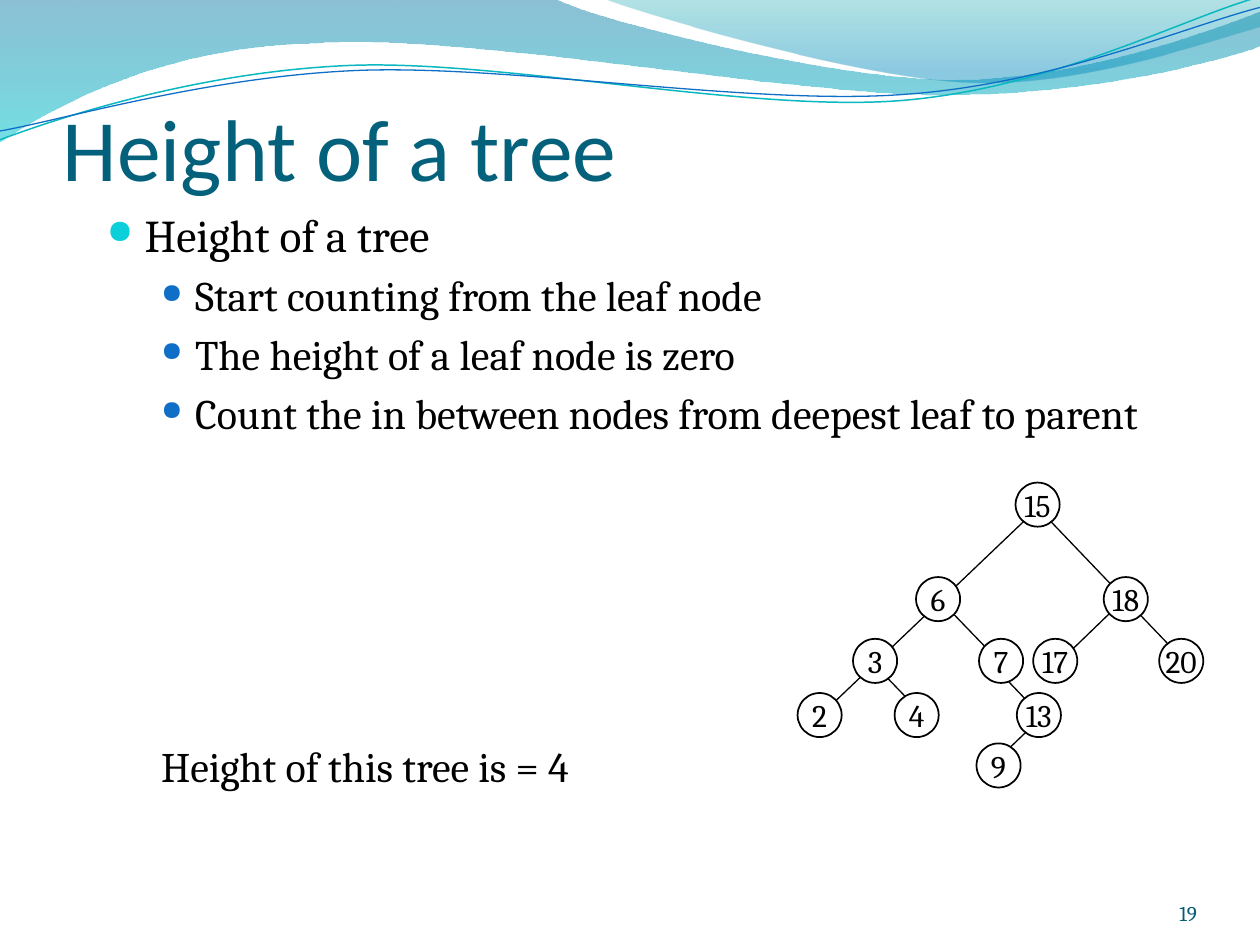
import math

from lxml import etree
from pptx import Presentation
from pptx import util as u
from pptx.dml.color import RGBColor
from pptx.enum import shapes, text
from pptx.oxml.ns import qn

COLORS = {
    "ink": "000000", "paper": "FFFFFF", "title": "04617B", "number": "045D75",
    "main_bullet": "0BD0D9", "sub_bullet": "0F6FC6",
    "teal_line": "0AB8BF", "blue_line": "0F6FC6",
    "deep_blue": "0074A1", "aqua": "00C6CF", "teal": "00A1A9", "blue": "008BBF",
}
SCALE = 9144
NODE_SIZE = 35
CURVE_TILT = -2.7

LEFT_WAVE = [(-1, -1), (440, -1),
             [(476, 17), (664, 63), (758, 63)], [(853, 63), (958, 26), (1000, 9)],
             (1001, 36),
             [(983, 44), (870, 76), (746, 75)], [(622, 75), (382, 28), (257, 34)],
             [(129, 36), (46, 83), (-1, 113)]]
RIGHT_WAVE = [(479, -1), [(509, 11), (682, 62), (769, 65)],
              [(856, 69), (961, 32), (1000, 21)], (1000, 0)]
TEAL_CURVE = [(0, 111), [(48, 93), (158, 57), (277, 52)],
              [(395, 47), (593, 89), (713, 80)], [(833, 71), (938, 15), (998, -2)]]
BLUE_CURVE = [(0, 104), [(47, 96), (164, 61), (283, 56)],
              [(403, 51), (597, 84), (717, 75)], [(836, 67), (941, 21), (1000, 6)]]

BODY_LINES = [
    ("main", "Height of a tree"),
    ("sub", "Start counting from the leaf node"),
    ("sub", "The height of a leaf node is zero"),
    ("sub", "Count the in between nodes from deepest leaf to parent"),
    ("answer", "Height of this tree is = 4"),
]
BODY_STYLES = {
    "main": {"level": 0, "left": 30, "hanging": 30, "size": 26, "before": 0,
             "bullet": ("main_bullet", 73)},
    "sub": {"level": 1, "left": 70, "hanging": 27, "size": 24, "before": 4.8,
            "bullet": ("sub_bullet", 65)},
    "answer": {"level": 1, "left": 70, "hanging": 27, "size": 24, "before": 173,
               "bullet": None},
}

BRANCHES = [
    (783, 611, 828, 568), (790, 530, 833, 575), (838, 528, 894, 474),
    (737, 572, 683, 516), (796, 528, 742, 472), (947, 532, 813, 392),
    (652, 567, 827, 400),
]
TREE_ROWS = {
    383: {"15": 806},
    458: {"6": 727, "18": 876},
    507: {"3": 677, "7": 777, "17": 820, "20": 920},
    550: {"2": 633, "4": 710, "13": 807},
    590: {"9": 775},
}


def px(value):
    return u.Emu(round(value * SCALE))


def rgb(name):
    return RGBColor.from_string(COLORS[name])


def rotate(point, center, degrees):
    angle = math.radians(degrees)
    across, down = point[0] - center[0], point[1] - center[1]
    return (center[0] + across * math.cos(angle) - down * math.sin(angle),
            center[1] + across * math.sin(angle) + down * math.cos(angle))


class Painter:
    """Draws styled elements on the current slide."""

    def __init__(self, slide, body_font="Cambria", title_font="Calibri"):
        self.slide = slide
        self.body_font = body_font
        self.title_font = title_font

    def style(self, paragraph, size, color="ink", font=None):
        for run in paragraph.runs:
            run.font.name = font or self.body_font
            run.font.size = u.Pt(size)
            run.font.color.rgb = rgb(color)

    def freeform(self, path, close, tilt=0):
        steps = [step if isinstance(step, list) else [step] for step in path]
        points = [point for step in steps for point in step]
        center = [(min(values) + max(values)) / 2 for values in zip(*points)]
        points = [tuple(map(px, rotate(point, center, -tilt))) for point in points]
        builder = self.slide.shapes.build_freeform(*points[0], scale=1.0)
        builder.add_line_segments(points[1:], close=close)
        shape = builder.convert_to_shape()
        shape.rotation = tilt
        shape.shadow.inherit = False
        segments = iter(list(shape._element.spPr.iter(qn("a:lnTo"))))
        for step in steps[1:]:
            first, *others = [next(segments) for _ in step]
            if others:
                first.tag = qn("a:cubicBezTo")
            for other in others:
                first.append(other[0])
                other.getparent().remove(other)
        return shape

    def wave(self, path, stops):
        shape = self.freeform(path, True)
        shape.line.fill.background()
        shape.fill.gradient()
        shape.fill.gradient_angle = 270
        for stop, (position, color, _) in zip(shape.fill.gradient_stops, stops):
            stop.position = position
            stop.color.rgb = rgb(color)
        for element, (_, _, opacity) in zip(shape._element.spPr.iter(qn("a:srgbClr")), stops):
            etree.SubElement(element, qn("a:alpha"), val=str(opacity * 1000))

    def curve(self, path, color, width):
        shape = self.freeform(path, False, CURVE_TILT)
        shape.fill.background()
        shape.line.color.rgb = rgb(color)
        shape.line.width = u.Pt(width)

    def textbox(self, left, top, width, height, margins=(10, 5, 10, 5),
                anchor=text.MSO_ANCHOR.TOP):
        frame = self.slide.shapes.add_textbox(px(left), px(top), px(width), px(height)).text_frame
        frame.word_wrap = True
        frame.vertical_anchor = anchor
        (frame.margin_left, frame.margin_top,
         frame.margin_right, frame.margin_bottom) = map(px, margins)
        return frame

    def label(self, content, box, size, color="ink", font=None,
              align=text.PP_ALIGN.LEFT, **options):
        frame = self.textbox(*box, **options)
        frame.text = content
        frame.paragraphs[0].alignment = align
        self.style(frame.paragraphs[0], size, color, font)

    def body(self, lines, box):
        frame = self.textbox(*box)
        for index, (kind, content) in enumerate(lines):
            look = BODY_STYLES[kind]
            paragraph = frame.add_paragraph() if index else frame.paragraphs[0]
            paragraph.text = content
            paragraph.level = look["level"]
            paragraph.space_before = u.Pt(look["before"])
            properties = paragraph._p.get_or_add_pPr()
            properties.set("marL", str(px(look["left"])))
            properties.set("indent", str(-px(look["hanging"])))
            if look["bullet"]:
                color, percent = look["bullet"]
                holder = etree.SubElement(properties, qn("a:buClr"))
                etree.SubElement(holder, qn("a:srgbClr"), val=COLORS[color])
                etree.SubElement(properties, qn("a:buSzPct"), val=str(percent * 1000))
                etree.SubElement(properties, qn("a:buChar"), char="●")
            self.style(paragraph, look["size"])

    def branch(self, *ends):
        line = self.slide.shapes.add_connector(shapes.MSO_CONNECTOR.STRAIGHT, *map(px, ends))
        line.line.color.rgb = rgb("ink")
        line.line.width = u.Pt(0.75)
        etree.SubElement(line._element.spPr, qn("a:effectLst"))

    def node(self, content, left, top):
        shape = self.slide.shapes.add_shape(shapes.MSO_SHAPE.OVAL, px(left), px(top),
                                            px(NODE_SIZE), px(NODE_SIZE))
        shape.shadow.inherit = False
        shape.fill.solid()
        shape.fill.fore_color.rgb = rgb("paper")
        shape.line.color.rgb = rgb("ink")
        shape.line.width = u.Pt(1)
        frame = shape.text_frame
        frame.text = content
        frame.word_wrap = False
        frame.vertical_anchor = text.MSO_ANCHOR.MIDDLE
        frame.paragraphs[0].alignment = text.PP_ALIGN.CENTER
        self.style(frame.paragraphs[0], 18)


def main():
    presentation = Presentation()
    presentation.slide_width, presentation.slide_height = px(1000), px(750)
    painter = Painter(presentation.slides.add_slide(presentation.slide_layouts[6]))

    painter.wave(LEFT_WAVE, [(0, "deep_blue", 45), (1, "aqua", 55)])
    painter.wave(RIGHT_WAVE, [(0, "teal", 30), (0.8, "blue", 45)])
    painter.curve(TEAL_CURVE, "teal_line", 0.85)
    painter.curve(BLUE_CURVE, "blue_line", 0.75)

    painter.label("Height of a tree", (50, 33, 900, 125), 50, "title", painter.title_font,
                  margins=(0, 5, 0, 0), anchor=text.MSO_ANCHOR.BOTTOM)
    painter.body(BODY_LINES, (75, 159, 875, 541))

    for ends in BRANCHES:
        painter.branch(*ends)
    for top, row in TREE_ROWS.items():
        for content, left in row.items():
            painter.node(content, left, top)

    painter.label("19", (867, 695, 83, 40), 12, "number", align=text.PP_ALIGN.RIGHT,
                  margins=(0, 0, 0, 0), anchor=text.MSO_ANCHOR.BOTTOM)
    presentation.save("out.pptx")


if __name__ == "__main__":
    main()
